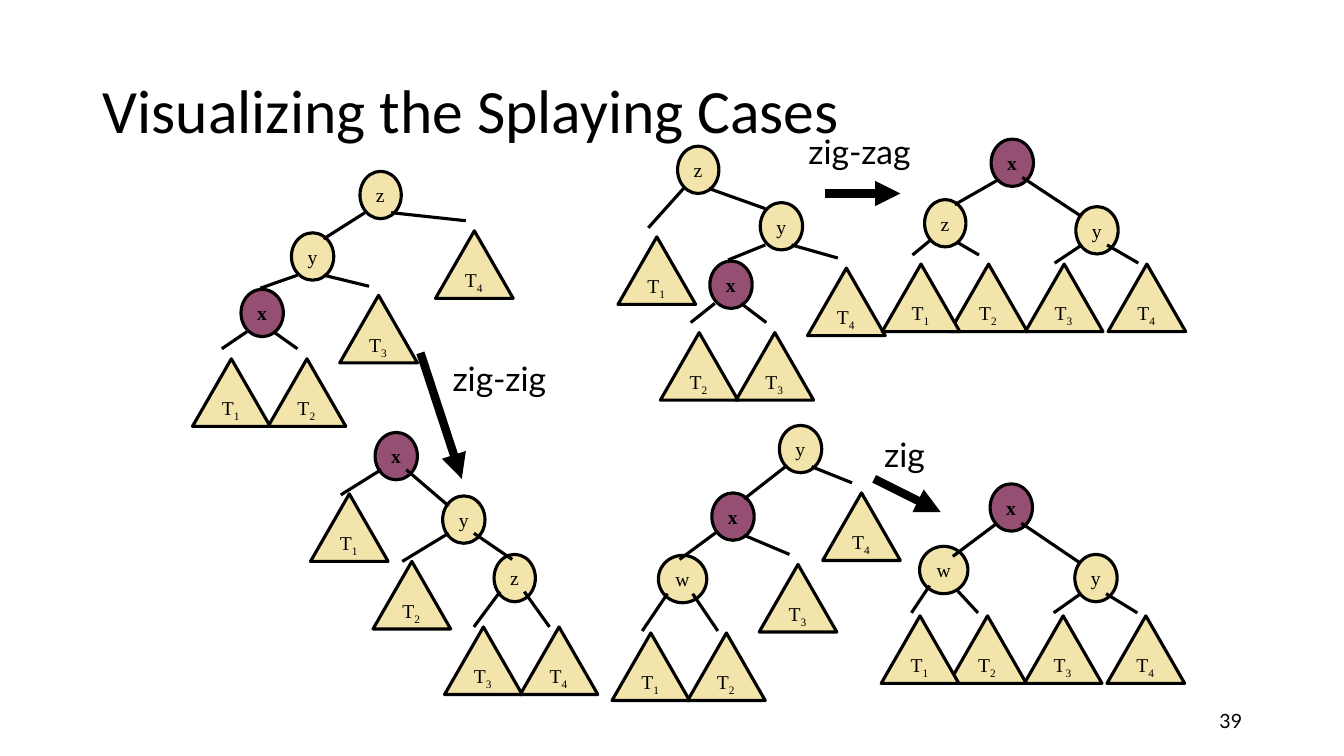
from lxml import etree
from pptx import Presentation, util as u
from pptx.dml.color import RGBColor
from pptx.enum import shapes, text
from pptx.oxml.ns import qn

BLACK = RGBColor(0x00, 0x00, 0x00)
CREAM = RGBColor(0xF2, 0xE4, 0xAA)
PLUM = RGBColor(0x95, 0x4F, 0x72)
PX = 9144
NODE_WIDTHS = {"w": 48, "x": 42, "y": 42, "z": 41}

ZIG_ZAG_BEFORE = {
    "nodes": [("y", 754, 201), ("x", 704, 259), ("z", 672, 145)],
    "subtrees": [(2, 655, 330), (3, 730, 330), (4, 801, 266), (1, 613, 235)],
    "edges": [(703, 187, 759, 207), (759, 243, 722, 258), (709, 301, 685, 320),
              (735, 301, 760, 320), (785, 243, 831, 256), (678, 187, 643, 226)],
}
ZIG_ZAG_AFTER = {
    "edges_behind": [(947, 239, 971, 253)],
    "nodes": [("y", 1067, 205), ("x", 983, 138), ("z", 917, 198)],
    "subtrees": [(2, 942, 262), (3, 1017, 262), (4, 1099, 262), (1, 875, 262)],
    "edges": [(1073, 215, 1014, 176), (1073, 243, 1046, 261), (1098, 243, 1129, 261),
              (947, 203, 989, 179), (922, 239, 905, 253)],
}
ZIG_ZIG_BEFORE = {
    "nodes": [("y", 289, 231), ("x", 239, 287), ("z", 357, 170)],
    "subtrees": [(1, 191, 356), (2, 266, 356), (3, 337, 293), (4, 432, 229)],
    "edges": [(295, 273, 258, 286), (245, 329, 220, 346), (271, 329, 295, 346),
              (321, 273, 366, 284), (362, 211, 321, 237), (388, 211, 462, 219)],
}
ZIG_ZIG_AFTER = {
    "nodes": [("y", 439, 492), ("z", 490, 550), ("x", 372, 429)],
    "subtrees": [(4, 516, 622), (3, 441, 622), (2, 370, 557), (1, 308, 490)],
    "edges": [(470, 529, 508, 555), (520, 587, 545, 622), (496, 587, 470, 622),
              (445, 529, 399, 557), (403, 466, 445, 502), (378, 466, 338, 491)],
}
ZIG_BEFORE = {
    "nodes": [("x", 706, 489), ("w", 653, 551), ("y", 773, 422)],
    "subtrees": [(1, 607, 628), (2, 682, 628), (3, 753, 560), (4, 816, 489)],
    "edges": [(712, 527, 674, 555), (662, 589, 637, 626), (687, 589, 712, 626),
              (738, 531, 783, 550), (779, 463, 738, 495), (805, 463, 845, 479)],
}
ZIG_AFTER = {
    "edges_behind": [(945, 581, 970, 608)],
    "nodes": [("y", 1066, 550), ("x", 982, 480), ("w", 912, 542)],
    "subtrees": [(2, 941, 611), (3, 1016, 611), (4, 1098, 611), (1, 874, 611)],
    "edges": [(1072, 559, 1013, 519), (1072, 589, 1045, 608), (1097, 589, 1128, 608),
              (945, 552, 989, 519), (922, 581, 904, 608)],
}
CASES = [
    ("zig-zag", (792, 125, 124, 50), (818, 192, 893, 192), ZIG_ZAG_BEFORE, ZIG_ZAG_AFTER),
    ("zig-zig", (439, 350, 114, 50), (417, 350, 458, 475), ZIG_ZIG_BEFORE, ZIG_ZIG_AFTER),
    ("zig", (867, 425, 61, 50), (867, 475, 933, 508), ZIG_BEFORE, ZIG_AFTER),
]


class SplayDiagram:
    """Draws tree parts and labels on one slide in a shared style."""

    def __init__(self, slide):
        self.slide = slide

    def lengths(self, values):
        return [u.Emu(value * PX) for value in values]

    def style(self, paragraph, size, face, bold=None):
        font = paragraph.font
        font.size, font.name, font.bold = u.Pt(size), face, bold
        font.color.rgb = BLACK

    def label(self, words, box, size, face, align=None, wrap=True):
        frame = self.slide.shapes.add_textbox(*self.lengths(box)).text_frame
        frame.word_wrap = wrap
        frame.auto_size = text.MSO_AUTO_SIZE.NONE if wrap else text.MSO_AUTO_SIZE.SHAPE_TO_FIT_TEXT
        frame.vertical_anchor = text.MSO_ANCHOR.MIDDLE
        paragraph = frame.paragraphs[0]
        paragraph.text = words
        paragraph.alignment = align
        self.style(paragraph, size, face)
        return paragraph

    def outlined(self, preset, box, fill, letter, bold=None):
        shape = self.slide.shapes.add_shape(preset, *self.lengths(box))
        shape.shadow.inherit = False
        shape.fill.solid()
        shape.fill.fore_color.rgb = fill
        shape.line.color.rgb = BLACK
        shape.line.width = u.Pt(2.25)
        frame = shape.text_frame
        frame.word_wrap = False
        frame.auto_size = text.MSO_AUTO_SIZE.SHAPE_TO_FIT_TEXT
        frame.vertical_anchor = text.MSO_ANCHOR.MIDDLE
        paragraph = frame.paragraphs[0]
        paragraph.alignment = text.PP_ALIGN.LEFT
        paragraph.add_run().text = letter
        self.style(paragraph, 14, "Times New Roman", bold)
        return paragraph

    def node(self, key, left, top):
        splayed = key == "x"
        self.outlined(shapes.MSO_SHAPE.OVAL, (left, top, NODE_WIDTHS[key], 47),
                      PLUM if splayed else CREAM, key, splayed or None)

    def subtree(self, number, left, top):
        paragraph = self.outlined(shapes.MSO_SHAPE.ISOSCELES_TRIANGLE,
                                  (left, top, 77, 67), CREAM, "T")
        subscript = paragraph.add_run()
        subscript.text = str(number)
        subscript._r.get_or_add_rPr().set("baseline", "-25000")

    def edge(self, ends, width=2.25):
        line = self.slide.shapes.add_connector(shapes.MSO_CONNECTOR.STRAIGHT, *self.lengths(ends))
        line.line.color.rgb = BLACK
        line.line.width = u.Pt(width)
        etree.SubElement(line._element.spPr, qn("a:effectLst"))
        return line

    def arrow(self, ends):
        outline = self.edge(ends, 6)._element.spPr.find(qn("a:ln"))
        etree.SubElement(outline, qn("a:tailEnd"), type="triangle")

    def tree(self, nodes, subtrees, edges, edges_behind=()):
        for ends in edges_behind:
            self.edge(ends)
        for node in nodes:
            self.node(*node)
        for subtree in subtrees:
            self.subtree(*subtree)
        for ends in edges:
            self.edge(ends)


def main():
    deck = Presentation()
    deck.slide_width, deck.slide_height = u.Inches(13.33), u.Inches(7.5)
    diagram = SplayDiagram(deck.slides.add_slide(deck.slide_layouts[6]))
    title = diagram.label("Visualizing the Splaying Cases", (92, 40, 1150, 145), 44, "Calibri")
    title.line_spacing = 0.9
    diagram.label("39", (942, 695, 300, 40), 14, "Lato", text.PP_ALIGN.RIGHT)
    for name, name_box, arrow_ends, before, after in CASES:
        diagram.label(name, name_box, 24, "Lato", wrap=False)
        diagram.tree(**before)
        diagram.tree(**after)
        diagram.arrow(arrow_ends)
    deck.save("out.pptx")


if __name__ == "__main__":
    main()
